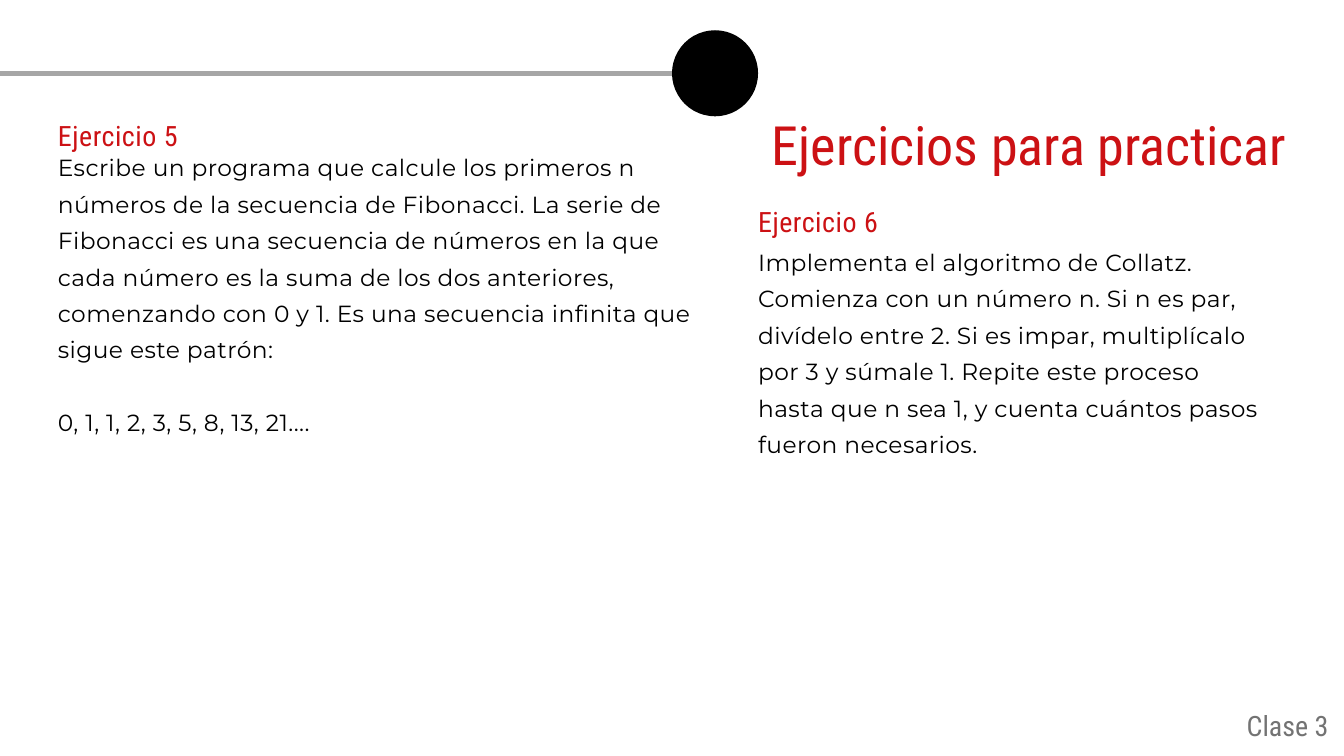
from lxml.etree import SubElement
from pptx import Presentation
from pptx.dml.color import RGBColor
from pptx.enum.shapes import MSO_CONNECTOR, MSO_SHAPE
from pptx.enum.text import MSO_AUTO_SIZE, PP_ALIGN
from pptx.oxml.ns import qn
from pptx.util import Pt

RED, BLACK, GRAY, LIGHT_GRAY = "CC1114", "000000", "737373", "A6A6A6"
HEADING_FONT, BODY_FONT = "Roboto Condensed", "Montserrat"


def color(hex_value):
    return RGBColor.from_string(hex_value)


class SlideBuilder:
    """Holds the style and the current slide; all lengths are in points."""

    def __init__(self, slide):
        self.slide = slide

    def line(self, x1, y1, x2, y2, hex_value, width):
        connector = self.slide.shapes.add_connector(
            MSO_CONNECTOR.STRAIGHT, Pt(x1), Pt(y1), Pt(x2), Pt(y2))
        connector.line.color.rgb = color(hex_value)
        connector.line.width = Pt(width)
        SubElement(connector._element.spPr, qn("a:effectLst"))

    def circle(self, left, top, diameter, hex_value):
        shape = self.slide.shapes.add_shape(
            MSO_SHAPE.OVAL, Pt(left), Pt(top), Pt(diameter), Pt(diameter))
        shape.shadow.inherit = False
        shape.fill.solid()
        shape.fill.fore_color.rgb = color(hex_value)
        shape.line.fill.background()

    def text(self, box, paragraphs, font, size, hex_value, line_spacing,
             align=PP_ALIGN.LEFT, tracking=0, gap=0):
        shape = self.slide.shapes.add_textbox(*[Pt(value) for value in box])
        frame = shape.text_frame
        frame.margin_left = frame.margin_top = 0
        frame.margin_right = frame.margin_bottom = 0
        frame.word_wrap = True
        frame.auto_size = MSO_AUTO_SIZE.SHAPE_TO_FIT_TEXT
        frame.text = "\n".join(paragraphs)
        for index, paragraph in enumerate(frame.paragraphs):
            paragraph.alignment = align
            paragraph.line_spacing = Pt(line_spacing)
            if index:
                paragraph.space_before = Pt(gap)
            for run in paragraph.runs:
                run.font.name = font
                run.font.size = Pt(size)
                run.font.color.rgb = color(hex_value)
                if tracking:
                    properties = run._r.get_or_add_rPr()
                    properties.set("spc", str(round(tracking * 100)))

    def exercise(self, left, heading_top, body_top, width, height, heading, paragraphs):
        self.text((left, body_top, width, height), paragraphs, BODY_FONT, 25,
                  BLACK, 39, tracking=0.5, gap=39)
        self.text((left, heading_top, 375, 44), [heading], HEADING_FONT, 30,
                  RED, 46.8, tracking=0.6)


def main():
    presentation = Presentation()
    presentation.slide_width, presentation.slide_height = Pt(1440), Pt(810)
    slide = presentation.slides.add_slide(presentation.slide_layouts[6])
    builder = SlideBuilder(slide)

    # Top rule ending in the circle
    builder.line(0, 78.5, 742, 78.5, LIGHT_GRAY, 5.25)
    builder.circle(720, 32.4, 92.2, BLACK)

    # Title and class label
    builder.text((812.2, 139.7, 566, 54), ["Ejercicios para practicar"],
                 HEADING_FONT, 58, RED, 48.7, PP_ALIGN.RIGHT)
    builder.text((1071.4, 769.7, 352, 28), ["Clase 3"],
                 HEADING_FONT, 30, GRAY, 25.2, PP_ALIGN.RIGHT)

    # Exercises, one per column
    builder.exercise(62, 116.6, 155.5, 680.4, 303, "Ejercicio 5", [
        "Escribe un programa que calcule los primeros n números de la secuencia "
        "de Fibonacci. La serie de Fibonacci es una secuencia de números en la "
        "que cada número es la suma de los dos anteriores, comenzando con 0 y 1. "
        "Es una secuencia infinita que sigue este patrón:",
        "0, 1, 1, 2, 3, 5, 8, 13, 21....",
    ])
    builder.exercise(812.2, 208.8, 257, 536.4, 227, "Ejercicio 6", [
        "Implementa el algoritmo de Collatz. Comienza con un número n. Si n es "
        "par, divídelo entre 2. Si es impar, multiplícalo por 3 y súmale 1. "
        "Repite este proceso hasta que n sea 1, y cuenta cuántos pasos fueron "
        "necesarios.",
    ])

    presentation.save("out.pptx")


if __name__ == "__main__":
    main()
